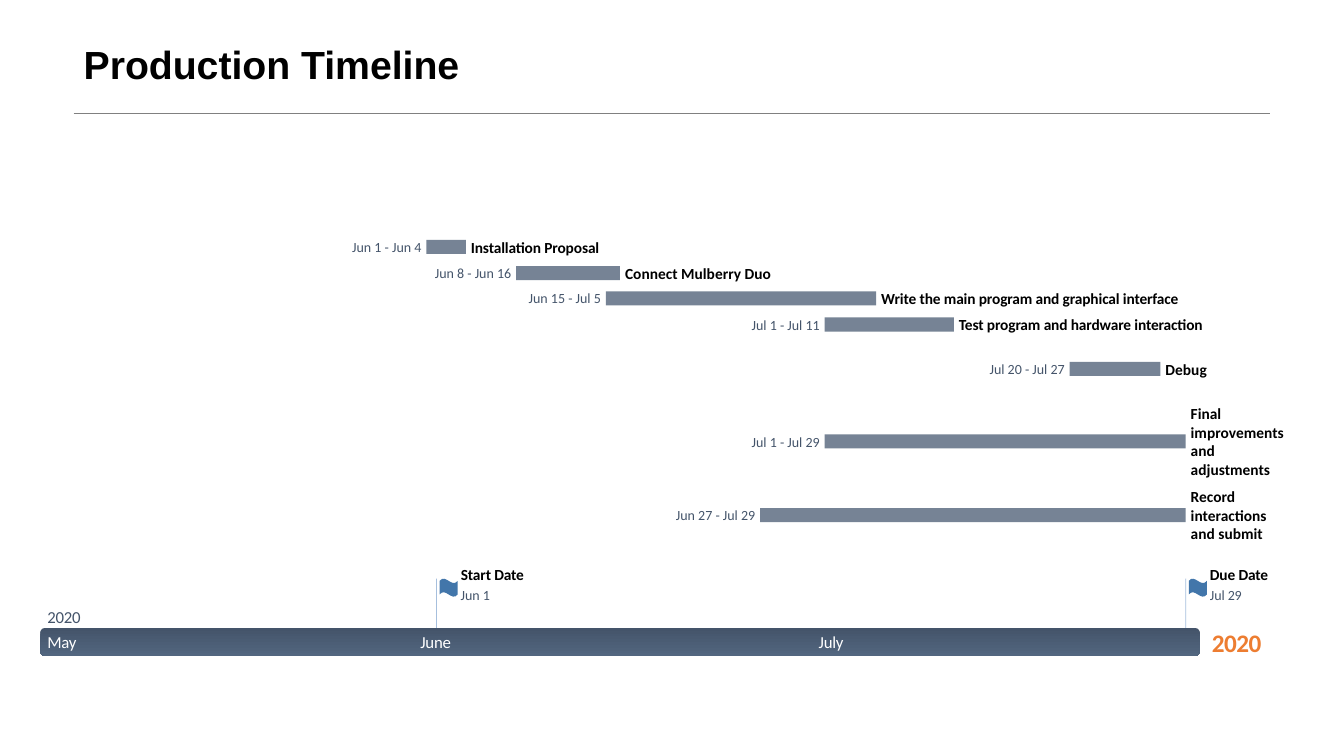
from dataclasses import dataclass

from lxml import etree
from pptx import Presentation
from pptx.dml.color import RGBColor
from pptx.enum.shapes import MSO_CONNECTOR, MSO_SHAPE
from pptx.enum.text import MSO_ANCHOR, MSO_AUTO_SIZE, PP_ALIGN
from pptx.oxml.ns import qn
from pptx.util import Inches, Pt

LEFT, CENTER, RIGHT = PP_ALIGN.LEFT, PP_ALIGN.CENTER, PP_ALIGN.RIGHT
TOP, MIDDLE = MSO_ANCHOR.TOP, MSO_ANCHOR.MIDDLE
NO_AUTOFIT = MSO_AUTO_SIZE.NONE
STRAIGHT = MSO_CONNECTOR.STRAIGHT
RECTANGLE, ROUNDED, FLAG = MSO_SHAPE.RECTANGLE, MSO_SHAPE.ROUNDED_RECTANGLE, MSO_SHAPE.WAVE

COLORS = {
    "black": "000000",
    "white": "FFFFFF",
    "rule": "808080",
    "slate": "44546A",
    "slate_light": "52667F",
    "bar": "768395",
    "flag": "4276AA",
    "pole": "4F81BD",
    "accent": "ED7D31",
}
LABEL_GAP = 0.05
DATE_WIDTH = 1.0
BAND_LABEL_WIDTH = 0.45
BAR_HEIGHT = 0.14
BAND_TOP = 6.23


@dataclass(frozen=True)
class TextStyle:
    size: float
    color: str
    bold: bool = False
    spacing: float = 0
    align: PP_ALIGN = LEFT


@dataclass(frozen=True)
class Task:
    name: str
    dates: str
    start: float
    end: float
    middle: float
    name_width: float
    spacing: float = 0


@dataclass(frozen=True)
class Milestone:
    name: str
    month: str
    day: str
    pole: float
    name_width: float


@dataclass(frozen=True)
class BandLabel:
    text: str
    left: float
    middle: float
    color: str = "white"


TASKS = [
    Task("Installation Proposal", "Jun 1 - Jun 4", 4.23, 4.62, 2.45, 1.31, -0.1),
    Task("Connect Mulberry Duo", "Jun 8 - Jun 16", 5.12, 6.15, 2.71, 2.86),
    Task("Write the main program and graphical interface", "Jun 15 - Jul 5",
         6.01, 8.69, 2.96, 3.01, -0.1),
    Task("Test program and hardware interaction", "Jul 1 - Jul 11", 8.18, 9.46, 3.22, 2.47, -0.1),
    Task("Debug", "Jul 20 - Jul 27", 10.61, 11.51, 3.66, 1.26),
    Task("Final improvements and adjustments", "Jul 1 - Jul 29", 8.18, 11.76, 4.38, 0.96),
    Task("Record interactions and submit", "Jun 27 - Jul 29", 7.54, 11.76, 5.11, 0.79),
]
MILESTONES = [
    Milestone("Start Date", "Jun", " 1", 4.33, 0.65),
    Milestone("Due Date", "Jul", " 29", 11.76, 0.6),
]
BAND_LABELS = [
    BandLabel("May", 0.47, 6.37),
    BandLabel("June", 4.17, 6.37),
    BandLabel("July", 8.12, 6.37),
    BandLabel("2020", 0.47, 6.12, "slate"),
]


def rgb(name: str) -> RGBColor:
    return RGBColor.from_string(COLORS[name])


def add_text(page, spans: list[tuple[str, float]], left: float, middle: float, width: float,
             height: float, style: TextStyle) -> None:
    """Place one paragraph, centred on a height; each span has its own letter spacing."""
    box = page.shapes.add_textbox(Inches(left), Inches(middle - height / 2),
                                  Inches(width), Inches(height))
    frame = box.text_frame
    frame.margin_left = frame.margin_right = frame.margin_top = frame.margin_bottom = 0
    frame.word_wrap = True
    frame.vertical_anchor = MIDDLE
    para = frame.paragraphs[0]
    para.alignment = style.align
    para.font.name, para.font.size, para.font.bold = "Calibri", Pt(style.size), style.bold
    para.font.color.rgb = rgb(style.color)
    for text, spacing in spans:
        span = para.add_run()
        span.text = text
        if spacing:
            span._r.get_or_add_rPr().set("spc", str(round(spacing * 100)))


def add_label(page, text: str, left: float, middle: float, width: float, height: float,
              style: TextStyle) -> None:
    add_text(page, [(text, style.spacing)], left, middle, width, height, style)


def add_block(page, kind: MSO_SHAPE, left: float, top: float, width: float, height: float,
              color: str):
    block = page.shapes.add_shape(kind, Inches(left), Inches(top), Inches(width), Inches(height))
    block.shadow.inherit = False
    block.fill.solid()
    block.fill.fore_color.rgb = rgb(color)
    block.line.fill.background()
    return block


def add_line(page, start: tuple[float, float], end: tuple[float, float], color: str,
             weight: float, opacity: int = 100) -> None:
    line = page.shapes.add_connector(STRAIGHT, *map(Inches, start + end))
    line.line.color.rgb = rgb(color)
    line.line.width = Pt(weight)
    properties = line._element.spPr
    if opacity < 100:
        fill_color = properties.find(".//" + qn("a:srgbClr"))
        etree.SubElement(fill_color, qn("a:alpha")).set("val", str(opacity * 1000))
    etree.SubElement(properties, qn("a:effectLst"))


def add_title(page, text: str) -> None:
    title = page.shapes.title
    title.left, title.top, title.width, title.height = map(Inches, (0.73, 0.4, 11.87, 0.73))
    frame = title.text_frame
    frame.text = text
    frame.auto_size = NO_AUTOFIT
    frame.vertical_anchor = TOP
    para = frame.paragraphs[0]
    para.alignment, para.line_spacing = LEFT, 0.9
    para.font.name, para.font.size, para.font.bold = "Arial", Pt(28), True
    para.font.color.rgb = rgb("black")


def add_band(page) -> None:
    band = add_block(page, ROUNDED, 0.4, BAND_TOP, 11.5, 0.28, "slate")
    band.fill.gradient()
    band.fill.gradient_angle = 270
    for stop, color in zip(band.fill.gradient_stops, ("slate", "slate_light")):
        stop.color.rgb = rgb(color)
    for label in BAND_LABELS:
        add_label(page, label.text, label.left, label.middle, BAND_LABEL_WIDTH, 0.2,
                  TextStyle(12, label.color, spacing=-0.2))
    add_label(page, "2020", 11.97, 6.37, 0.59, 0.31, TextStyle(18, "accent", True, -0.4, CENTER))


def add_task(page, task: Task) -> None:
    add_block(page, RECTANGLE, task.start, task.middle - BAR_HEIGHT / 2,
              task.end - task.start, BAR_HEIGHT, "bar")
    add_label(page, task.dates, task.start - LABEL_GAP - DATE_WIDTH, task.middle, DATE_WIDTH, 0.17,
              TextStyle(10, "slate", align=RIGHT))
    add_label(page, task.name, task.end + LABEL_GAP, task.middle, task.name_width, 0.19,
              TextStyle(11, "black", True, task.spacing))


def add_milestone(page, milestone: Milestone) -> None:
    pole, text_left = milestone.pole, milestone.pole + 0.24
    add_line(page, (pole, 5.74), (pole, BAND_TOP), "pole", 0.6, opacity=50)
    add_block(page, FLAG, pole + 0.03, 5.74, 0.18, 0.18, "flag")
    add_label(page, milestone.name, text_left, 5.7, milestone.name_width, 0.19,
              TextStyle(11, "black", True, -0.1))
    add_text(page, [(milestone.month, 0), (milestone.day, -0.1)], text_left, 5.9, 0.4, 0.17,
             TextStyle(10, "slate"))


def main() -> None:
    deck = Presentation()
    deck.slide_width, deck.slide_height = Inches(13.33), Inches(7.5)
    page = deck.slides.add_slide(deck.slide_layouts.get_by_name("Title Only"))
    add_title(page, "Production Timeline")
    add_line(page, (0.73, 1.12), (12.6, 1.12), "rule", 0.25)
    add_band(page)
    for task in TASKS:
        add_task(page, task)
    for milestone in MILESTONES:
        add_milestone(page, milestone)
    deck.save("out.pptx")


if __name__ == "__main__":
    main()
